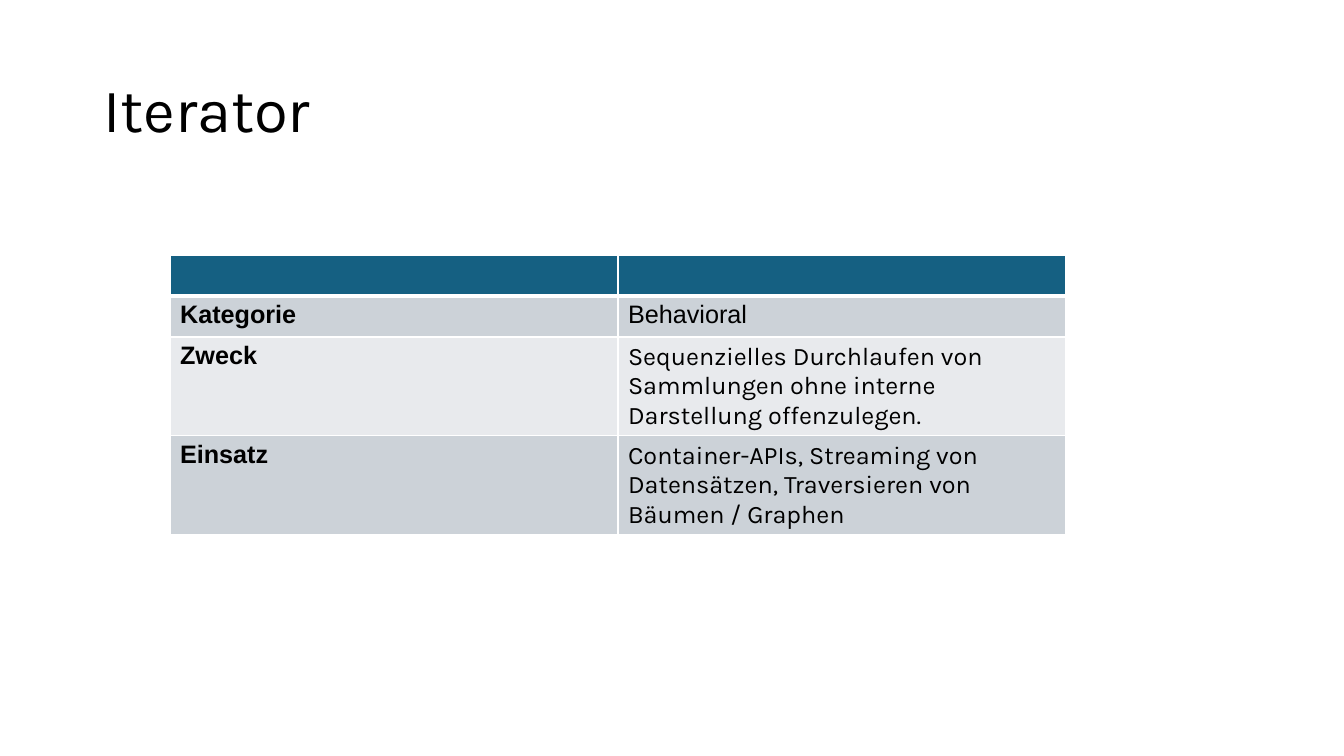
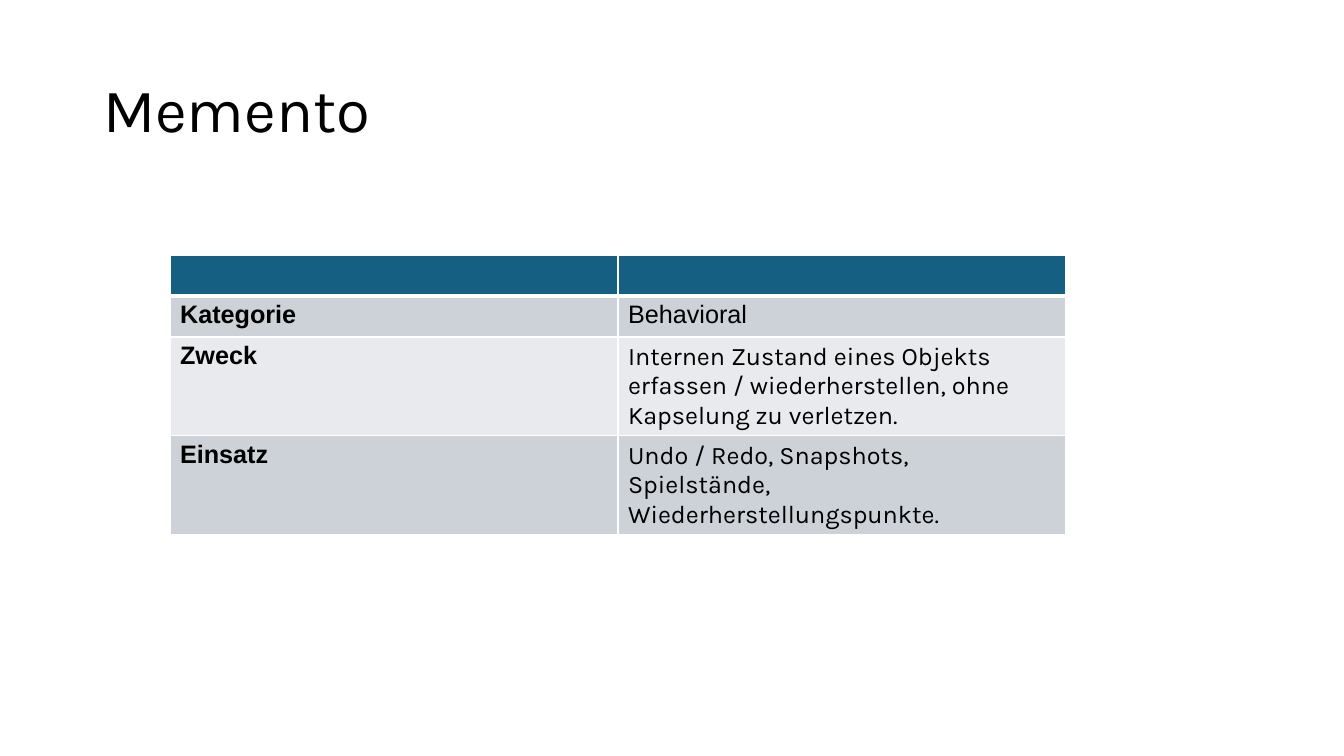
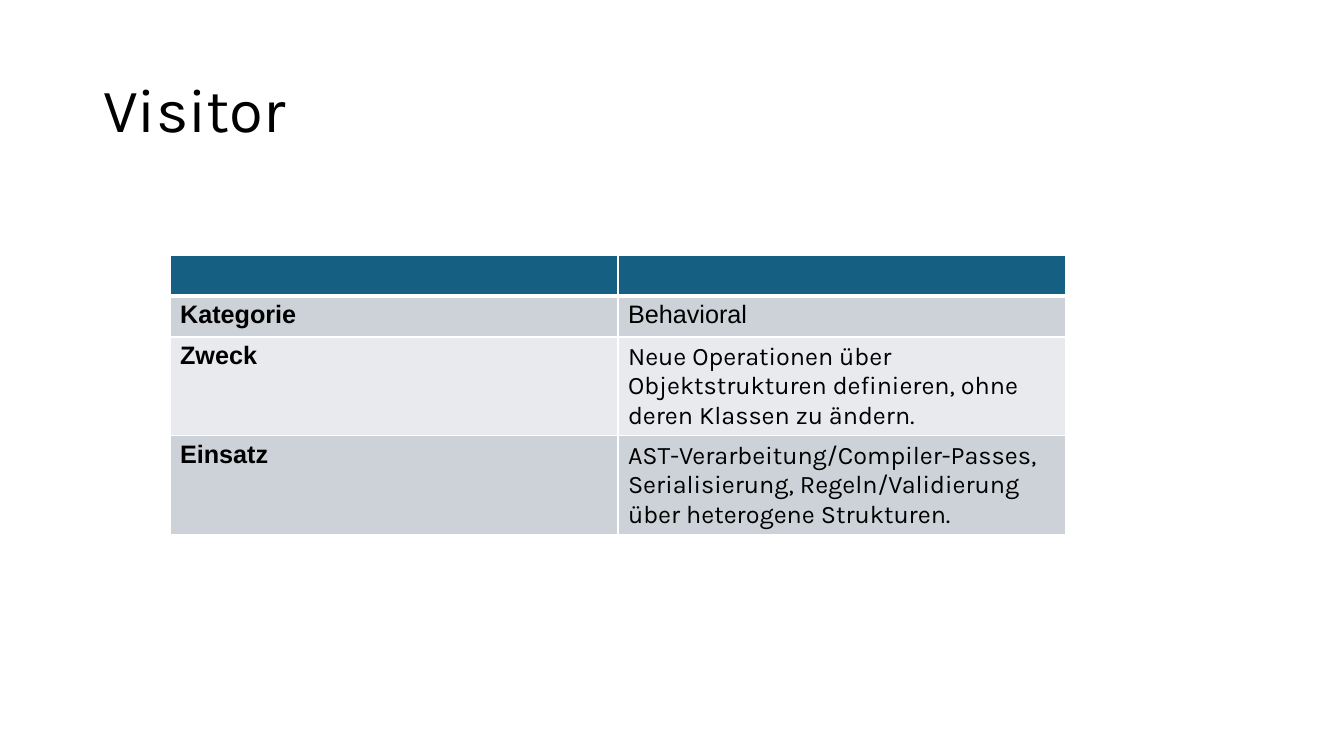
"""Build three slides that sum up the Iterator, Memento and Visitor patterns."""
from lxml.etree import SubElement
from pptx import Presentation
from pptx.dml.color import RGBColor
from pptx.enum.text import MSO_ANCHOR, PP_ALIGN
from pptx.oxml.ns import qn
from pptx.util import Emu, Pt

COLORS = {
    "text": "000000",
    "border": "FFFFFF",
    "header": "156082",
    "band_dark": "CCD2D8",
    "band_light": "E8EAED",
}
ROW_FILLS = ["header", "band_dark", "band_light", "band_dark"]
ROW_HEIGHT = 41
COLUMN_WIDTH = 448

PATTERNS = [
    ("Iterator",
     "Sequenzielles Durchlaufen von Sammlungen ohne interne Darstellung offenzulegen.",
     "Container-APIs, Streaming von Datensätzen, Traversieren von Bäumen / Graphen"),
    ("Memento",
     "Internen Zustand eines Objekts erfassen / wiederherstellen, ohne Kapselung zu verletzen.",
     "Undo / Redo, Snapshots, Spielstände, Wiederherstellungspunkte."),
    ("Visitor",
     "Neue Operationen über Objektstrukturen definieren, ohne deren Klassen zu ändern.",
     "AST-Verarbeitung/Compiler-Passes, Serialisierung, Regeln/Validierung über heterogene Strukturen."),
]


def px(length):
    return Emu(round(length * 914400 / 100.8))


def write(frame, text, font_name, size, bold=False):
    frame.text = text
    for run in frame.paragraphs[0].runs:
        run.font.name = font_name
        run.font.size = Pt(size)
        run.font.bold = bold
        run.font.color.rgb = RGBColor.from_string(COLORS["text"])


presentation = Presentation()
presentation.slide_width = px(1344)
presentation.slide_height = px(756)
title_only = presentation.slide_layouts[5]

for name, purpose, usage in PATTERNS:
    slide = presentation.slides.add_slide(title_only)
    heading = slide.shapes.title
    heading.left, heading.top = px(93), px(40)
    heading.width, heading.height = px(1159), px(146)
    write(heading.text_frame, name, "Karla", 44)
    heading.text_frame.vertical_anchor = MSO_ANCHOR.MIDDLE
    heading.text_frame.paragraphs[0].alignment = PP_ALIGN.LEFT
    heading.text_frame.paragraphs[0].line_spacing = 0.9

    facts = [
        ("", "", "Arial"),
        ("Kategorie", "Behavioral", "Arial"),
        ("Zweck", purpose, "Karla"),
        ("Einsatz", usage, "Karla"),
    ]
    overview = slide.shapes.add_table(
        len(facts), 2, px(170), px(255),
        px(2 * COLUMN_WIDTH), px(len(facts) * ROW_HEIGHT)).table

    for row, (label, value, value_font) in enumerate(facts):
        write(overview.cell(row, 0).text_frame, label, "Arial", 18, bold=True)
        write(overview.cell(row, 1).text_frame, value, value_font, 18)
        for cell in overview.rows[row].cells:
            properties = cell._tc.get_or_add_tcPr()
            for side in ("lnL", "lnR", "lnT", "lnB"):
                under_header = (row, side) in ((0, "lnB"), (1, "lnT"))
                border = SubElement(properties, qn(f"a:{side}"),
                                    w=str(Pt(3 if under_header else 1)))
                solid = SubElement(border, qn("a:solidFill"))
                SubElement(solid, qn("a:srgbClr"), val=COLORS["border"])
            cell.fill.solid()
            cell.fill.fore_color.rgb = RGBColor.from_string(COLORS[ROW_FILLS[row]])

presentation.save("out.pptx")
